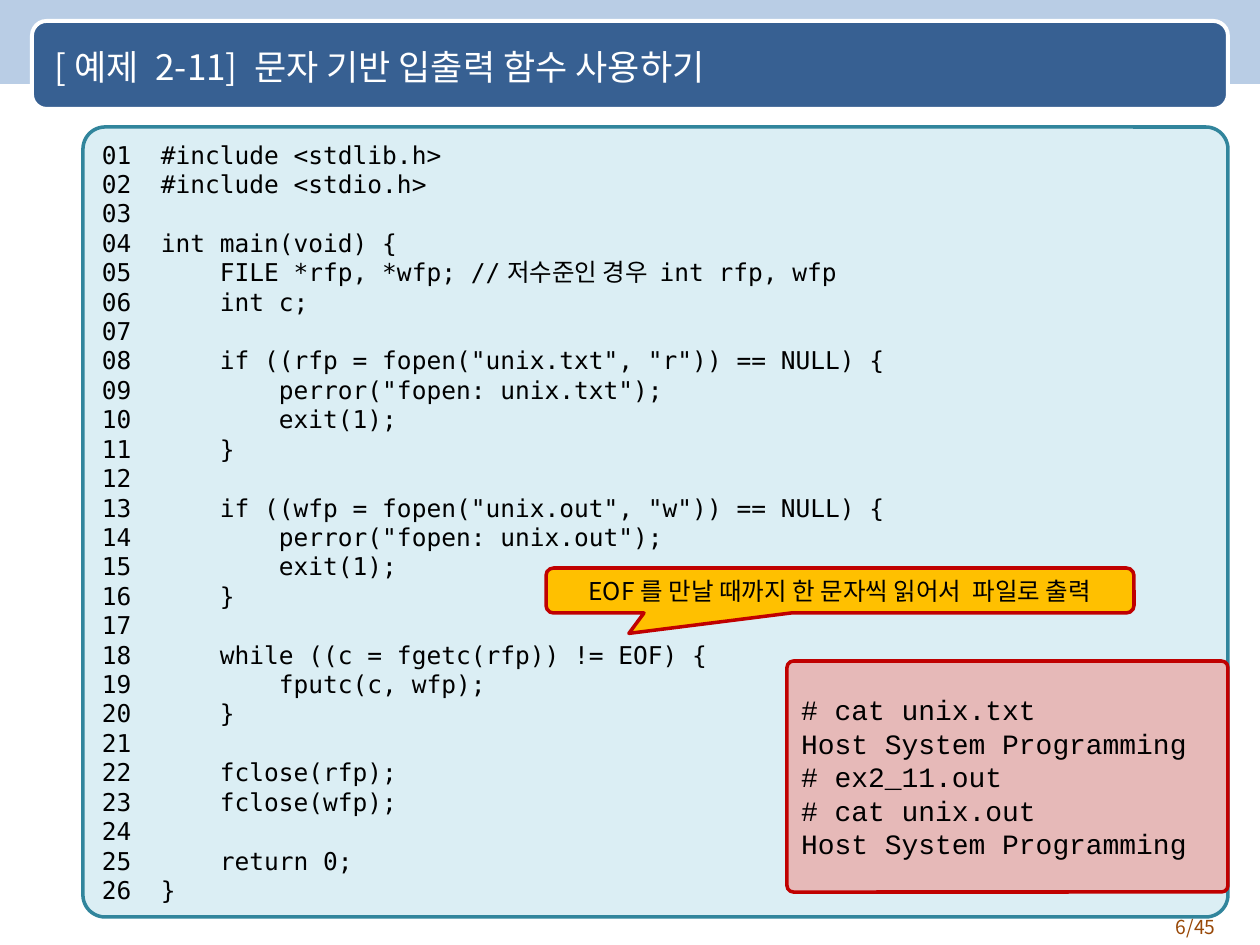
from pptx import Presentation
from pptx.dml.color import RGBColor as RGB
from pptx.enum.shapes import MSO_SHAPE as Shape
from pptx.enum.text import MSO_ANCHOR as Anchor, PP_ALIGN as Align
from pptx.oxml.ns import qn
from pptx.util import Emu, Pt
from lxml.etree import SubElement


class Theme:
    band, head, white = "B9CDE5", "376092", "FFFFFF"
    code, teal = "DBEEF4", "31859C"
    shell, note, red = "E6B9B8", "FFC000", "C00000"
    ink, page = "000000", "984807"
    sans, mono, term = "Noto Sans CJK KR", "DejaVu Sans Mono", "Courier New"
    small, body, large, title = 11, 14, 16, 20


PX = 914400 / 126

prs = Presentation()
prs.slide_width, prs.slide_height = Emu(round(1260 * PX)), Emu(round(945 * PX))
slide = prs.slides.add_slide(prs.slide_layouts[6])


def panel(kind, box, fill, line=None, width=2, adj=()):
    """Add a flat shape, with an outline if a line colour is given."""
    shape = slide.shapes.add_shape(kind, *[Emu(round(v * PX)) for v in box])
    shape.shadow.inherit = False
    shape.fill.solid()
    shape.fill.fore_color.rgb = RGB.from_string(fill)
    if line:
        shape.line.color.rgb = RGB.from_string(line)
        shape.line.width = Pt(width)
    else:
        shape.line.fill.background()
    for i, val in enumerate(adj):
        shape.adjustments[i] = val
    return shape


def write(shape, lines, font, size, color, align, pitch=None, hang=0):
    """Fill a shape with one paragraph per line, centred vertically."""
    frame = shape.text_frame
    frame.word_wrap = True
    frame.vertical_anchor = Anchor.MIDDLE
    for i, line in enumerate(lines):
        para = frame.add_paragraph() if i else frame.paragraphs[0]
        para.alignment = align
        if pitch:
            para.line_spacing = Pt(pitch)
        if hang:
            props = para._p.get_or_add_pPr()
            props.set("marL", str(round(hang * PX)))
            props.set("indent", str(round(-hang * PX)))
        run = para.add_run()
        run.text = line
        run.font.name, run.font.size = font, Pt(size)
        run.font.color.rgb = RGB.from_string(color)
        # Hangul takes the sans face in every box
        SubElement(run._r.rPr, qn("a:ea")).set("typeface", Theme.sans)


# Header band and title
panel(Shape.RECTANGLE, (0, 0, 1260, 84), Theme.band)
panel(Shape.ROUNDED_RECTANGLE, (32, 21, 1196, 88), Theme.head,
      Theme.white, 2.25, [0.167])
title = slide.shapes.add_textbox(*[Emu(round(v * PX)) for v in (42, 24, 1166, 84)])
write(title, ["[예제 2-11] 문자 기반 입출력 함수 사용하기"],
      Theme.sans, Theme.title, Theme.white, Align.LEFT)

# Page number
page = slide.shapes.add_textbox(*[Emu(round(v * PX)) for v in (1124, 908, 104, 37)])
write(page, ["6/45"], Theme.sans, Theme.small, Theme.page, Align.RIGHT)

# Code listing, numbered by line
source = """\
#include <stdlib.h>
#include <stdio.h>

int main(void) {
    FILE *rfp, *wfp; //저수준인 경우 int rfp, wfp
    int c;

    if ((rfp = fopen("unix.txt", "r")) == NULL) {
        perror("fopen: unix.txt");
        exit(1);
    }

    if ((wfp = fopen("unix.out", "w")) == NULL) {
        perror("fopen: unix.out");
        exit(1);
    }

    while ((c = fgetc(rfp)) != EOF) {
        fputc(c, wfp);
    }

    fclose(rfp);
    fclose(wfp);

    return 0;
}"""
code = panel(Shape.ROUNDED_RECTANGLE, (83, 127, 1145, 790), Theme.code,
             Theme.teal, adj=[0.028])
rows = [f"{n:02}  {row}".rstrip() for n, row in enumerate(source.split("\n"), 1)]
write(code, rows, Theme.mono, Theme.body, Theme.ink, Align.JUSTIFY, 16.8, 48)

# Terminal output
shell = panel(Shape.ROUNDED_RECTANGLE, (787, 661, 441, 231), Theme.shell,
              Theme.red, adj=[0.028])
write(shell, ["# cat unix.txt", "Host System Programming", "# ex2_11.out",
              "# cat unix.out", "Host System Programming"],
      Theme.term, Theme.large, Theme.ink, Align.JUSTIFY, 19.2)

# Callout on the loop
note = panel(Shape.ROUNDED_RECTANGULAR_CALLOUT, (546, 568, 588, 45), Theme.note,
             Theme.red, adj=[-0.359, 0.954, 0.167])
write(note, ["EOF를 만날 때까지 한 문자씩 읽어서  파일로 출력"],
      Theme.sans, Theme.body, Theme.ink, Align.CENTER)

prs.save("out.pptx")
